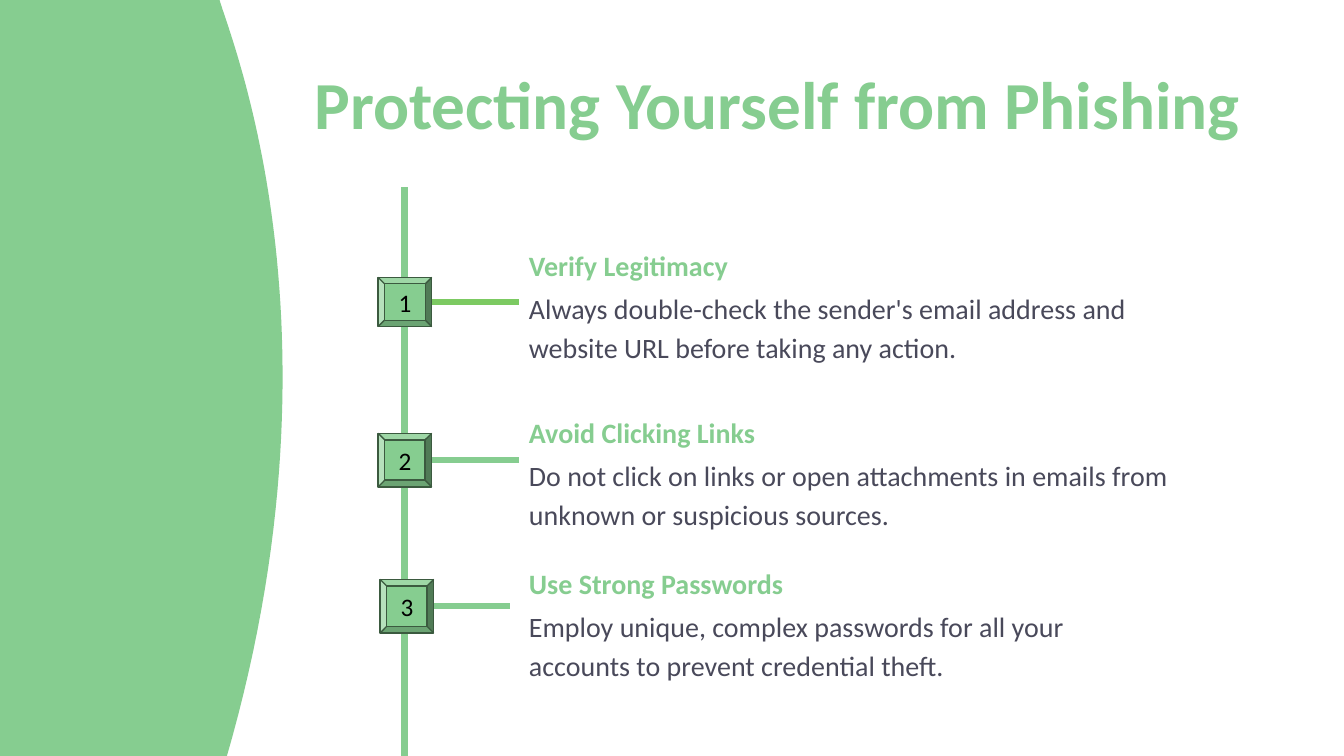
from dataclasses import dataclass

from lxml import etree
from pptx import Presentation
from pptx import util as u
from pptx.dml.color import RGBColor
from pptx.enum import shapes, text
from pptx.oxml import ns

Cm, Pt = u.Cm, u.Pt


@dataclass(frozen=True)
class Theme:
    font: str = "Calibri"
    green: str = "86CD90"
    lime: str = "7CCA62"
    outline: str = "3B5A3F"
    body: str = "49495A"
    black: str = "000000"
    title_size: float = 48
    text_size: float = 20
    number_size: float = 18
    rule_width: float = 4.5


@dataclass(frozen=True)
class Box:
    """A region in centimetres."""
    left: float
    top: float
    width: float
    height: float

    def lengths(self):
        return Cm(self.left), Cm(self.top), Cm(self.width), Cm(self.height)


@dataclass(frozen=True)
class Step:
    heading: str
    body: str
    box: Box            # heading and body together
    heading_width: float
    marker: Box
    spoke_end: float
    spoke_color: str


THEME = Theme()
WIDTH, HEIGHT = 33.87, 19.05
SPINE_X = 10.19

STEPS = [
    Step("Verify Legitimacy",
         "Always double-check the sender's email address and website URL "
         "before taking any action.",
         Box(13.08, 6.02, 17.2, 3.02), 7.65,
         Box(9.53, 6.99, 1.35, 1.24), 13.08, THEME.lime),
    Step("Avoid Clicking Links",
         "Do not click on links or open attachments in emails from unknown "
         "or suspicious sources.",
         Box(13.08, 10.24, 18.16, 3.02), 8.1,
         Box(9.53, 10.92, 1.35, 1.35), 13.08, THEME.green),
    Step("Use Strong Passwords",
         "Employ unique, complex passwords for all your accounts to prevent "
         "credential theft.",
         Box(13.08, 14.05, 16.03, 3.0), 8.46,
         Box(9.58, 14.6, 1.35, 1.35), 12.85, THEME.green),
]


def write(shape, words, *, size, color, bold=False, spacing=None,
          align=text.PP_ALIGN.LEFT, anchor=text.MSO_ANCHOR.TOP):
    frame = shape.text_frame
    frame.word_wrap = True
    frame.auto_size = text.MSO_AUTO_SIZE.NONE
    frame.vertical_anchor = anchor
    paragraph = frame.paragraphs[0]
    paragraph.alignment = align
    paragraph.line_spacing = spacing
    run = paragraph.add_run()
    run.text = words
    run.font.name = THEME.font
    run.font.size = Pt(size)
    run.font.bold = bold
    run.font.color.rgb = RGBColor.from_string(color)
    return frame


def add_rule(slide, start, end, color):
    points = [Cm(value) for value in (*start, *end)]
    line = slide.shapes.add_connector(shapes.MSO_CONNECTOR.STRAIGHT, *points)
    line.line.color.rgb = RGBColor.from_string(color)
    line.line.width = Pt(THEME.rule_width)
    etree.SubElement(line._element.spPr, ns.qn("a:effectLst"))


def add_side_panel(slide, box):
    """Fill the box with a panel whose right edge is one cubic curve."""
    controls = [(5.51, 0), (5.56, 0.51), (8.99, 7.97), (5.69, 19.25)]
    weights = (1, 3, 3, 1)
    samples = 60
    edge = []
    for i in range(samples + 1):
        t = i / samples
        x, y = (sum(w * (1 - t) ** (3 - k) * t ** k * point[axis]
                    for k, (w, point) in enumerate(zip(weights, controls)))
                for axis in (0, 1))
        edge.append((Cm(box.left + x), Cm(box.top + y)))
    bottom = edge[-1][1]
    builder = slide.shapes.build_freeform(Cm(box.left), Cm(box.top))
    builder.add_line_segments(edge + [(Cm(box.left), bottom)], close=True)
    panel = builder.convert_to_shape()
    panel.shadow.inherit = False
    panel.fill.solid()
    panel.fill.fore_color.rgb = RGBColor.from_string(THEME.green)
    panel.line.fill.background()


def add_title(slide, box, words):
    title = slide.shapes.title
    title.left, title.top, title.width, title.height = box.lengths()
    frame = write(title, words, size=THEME.title_size, color=THEME.green,
                  bold=True, spacing=0.9, anchor=text.MSO_ANCHOR.BOTTOM)
    frame.margin_bottom = Cm(0.8)


def add_marker(slide, box, number):
    marker = slide.shapes.add_shape(shapes.MSO_SHAPE.BEVEL, *box.lengths())
    marker.shadow.inherit = False
    marker.fill.solid()
    marker.fill.fore_color.rgb = RGBColor.from_string(THEME.green)
    marker.line.color.rgb = RGBColor.from_string(THEME.outline)
    marker.line.width = Pt(1)
    frame = write(marker, str(number), size=THEME.number_size,
                  color=THEME.black, align=text.PP_ALIGN.CENTER,
                  anchor=text.MSO_ANCHOR.MIDDLE)
    frame.margin_left = frame.margin_right = 0
    frame.margin_top = frame.margin_bottom = 0


def add_step(slide, step, number):
    box, marker = step.box, step.marker
    middle = marker.top + marker.height / 2
    add_rule(slide, (SPINE_X, middle), (step.spoke_end, middle),
             step.spoke_color)
    add_marker(slide, marker, number)

    body_offset = 1.06
    heading_box = Box(box.left, box.top, step.heading_width, 0.97)
    body_box = Box(box.left, box.top + body_offset,
                   box.width, box.height - body_offset)
    heading = slide.shapes.add_textbox(*heading_box.lengths())
    write(heading, step.heading, size=THEME.text_size, color=THEME.green,
          bold=True, spacing=Pt(27.1))
    body = slide.shapes.add_textbox(*body_box.lengths())
    write(body, step.body, size=THEME.text_size, color=THEME.body,
          spacing=Pt(27.8))


def main():
    presentation = Presentation()
    presentation.slide_width = Cm(WIDTH)
    presentation.slide_height = Cm(HEIGHT)
    slide = presentation.slides.add_slide(presentation.slide_layouts[5])

    add_side_panel(slide, Box(0, -0.1, 7.11, 19.25))
    add_title(slide, Box(7.67, 1.85, 24.94, 2.57),
              "Protecting Yourself from Phishing")
    add_rule(slide, (SPINE_X, 4.72), (SPINE_X, HEIGHT), THEME.green)
    for number, step in enumerate(STEPS, start=1):
        add_step(slide, step, number)

    presentation.save("out.pptx")


if __name__ == "__main__":
    main()
